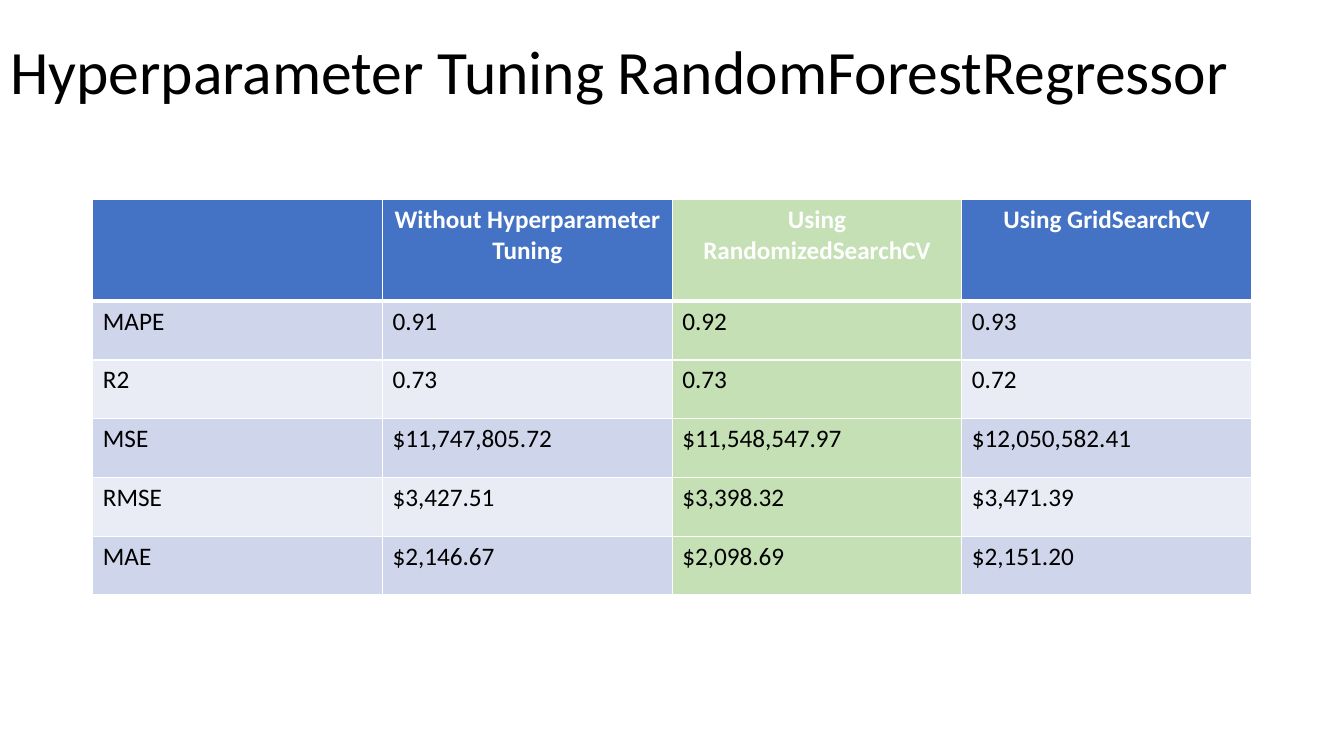
import pptx
import pptx.dml.color
import pptx.enum.text
import pptx.oxml
import pptx.oxml.ns
import pptx.util

Cm = pptx.util.Cm
Pt = pptx.util.Pt
Align = pptx.enum.text.PP_ALIGN
Anchor = pptx.enum.text.MSO_ANCHOR

COLOURS = {
    "ink": "000000",
    "white": "FFFFFF",
    "header": "4472C4",
    "odd": "CFD5EA",
    "even": "E9EBF5",
    "best": "C5E0B4",
}

RESULTS = [
    ["", "Without Hyperparameter Tuning", "Using RandomizedSearchCV", "Using GridSearchCV"],
    ["MAPE", "0.91", "0.92", "0.93"],
    ["R2", "0.73", "0.73", "0.72"],
    ["MSE", "$11,747,805.72", "$11,548,547.97", "$12,050,582.41"],
    ["RMSE", "$3,427.51", "$3,398.32", "$3,471.39"],
    ["MAE", "$2,146.67", "$2,098.69", "$2,151.20"],
]
BEST_COLUMN = 2


class SlideBuilder:
    font_name = "Calibri"

    def __init__(self, page):
        self.page = page

    def colour(self, name):
        return pptx.dml.color.RGBColor.from_string(COLOURS[name])

    def add_text(self, para, text, size, colour, align, bold=False):
        para.alignment = align
        span = para.add_run()
        span.text = text
        span.font.name = self.font_name
        span.font.size = Pt(size)
        span.font.bold = bold
        span.font.color.rgb = self.colour(colour)

    def title(self, text, left, top, width, height):
        box = self.page.shapes.title
        box.left, box.top, box.width, box.height = Cm(left), Cm(top), Cm(width), Cm(height)
        box.text_frame.vertical_anchor = Anchor.MIDDLE
        para = box.text_frame.paragraphs[0]
        para.line_spacing = 0.9
        self.add_text(para, text, 44, "ink", Align.LEFT)

    def borders(self, cell, widths):
        properties = cell._tc.get_or_add_tcPr()
        for side, width in widths.items():
            properties.append(pptx.oxml.parse_xml(
                f'<a:ln{side} {pptx.oxml.ns.nsdecls("a")} w="{Pt(width)}"><a:solidFill>'
                f'<a:srgbClr val="{COLOURS["white"]}"/></a:solidFill></a:ln{side}>'))

    def cell(self, cell, text, row, column):
        is_header = row == 0
        band = "header" if is_header else "odd" if row % 2 else "even"
        self.borders(cell, {"L": 1, "R": 1, "T": 3 if row == 1 else 1, "B": 3 if is_header else 1})
        cell.fill.solid()
        cell.fill.fore_color.rgb = self.colour("best" if column == BEST_COLUMN else band)
        if text:
            self.add_text(cell.text_frame.paragraphs[0], text, 18,
                          "white" if is_header else "ink",
                          Align.CENTER if is_header else Align.LEFT, is_header)

    def table(self, rows, left, top, column_width, header_height, row_height):
        count = len(rows[0])
        height = header_height + row_height * (len(rows) - 1)
        table = self.page.shapes.add_table(
            len(rows), count, Cm(left), Cm(top), Cm(column_width * count), Cm(height)).table
        for column in table.columns:
            column.width = Cm(column_width)
        for row, texts in enumerate(rows):
            table.rows[row].height = Cm(row_height if row else header_height)
            for column, text in enumerate(texts):
                self.cell(table.cell(row, column), text, row, column)


def main():
    deck = pptx.Presentation()
    deck.slide_width, deck.slide_height = Cm(33.87), Cm(19.05)
    builder = SlideBuilder(deck.slides.add_slide(deck.slide_layouts[5]))
    builder.title("Hyperparameter Tuning RandomForestRegressor", 0, 0.05, 33.87, 3.68)
    builder.table(RESULTS, 2.34, 5.03, 7.3, 2.56, 1.48)
    deck.save("out.pptx")


if __name__ == "__main__":
    main()
